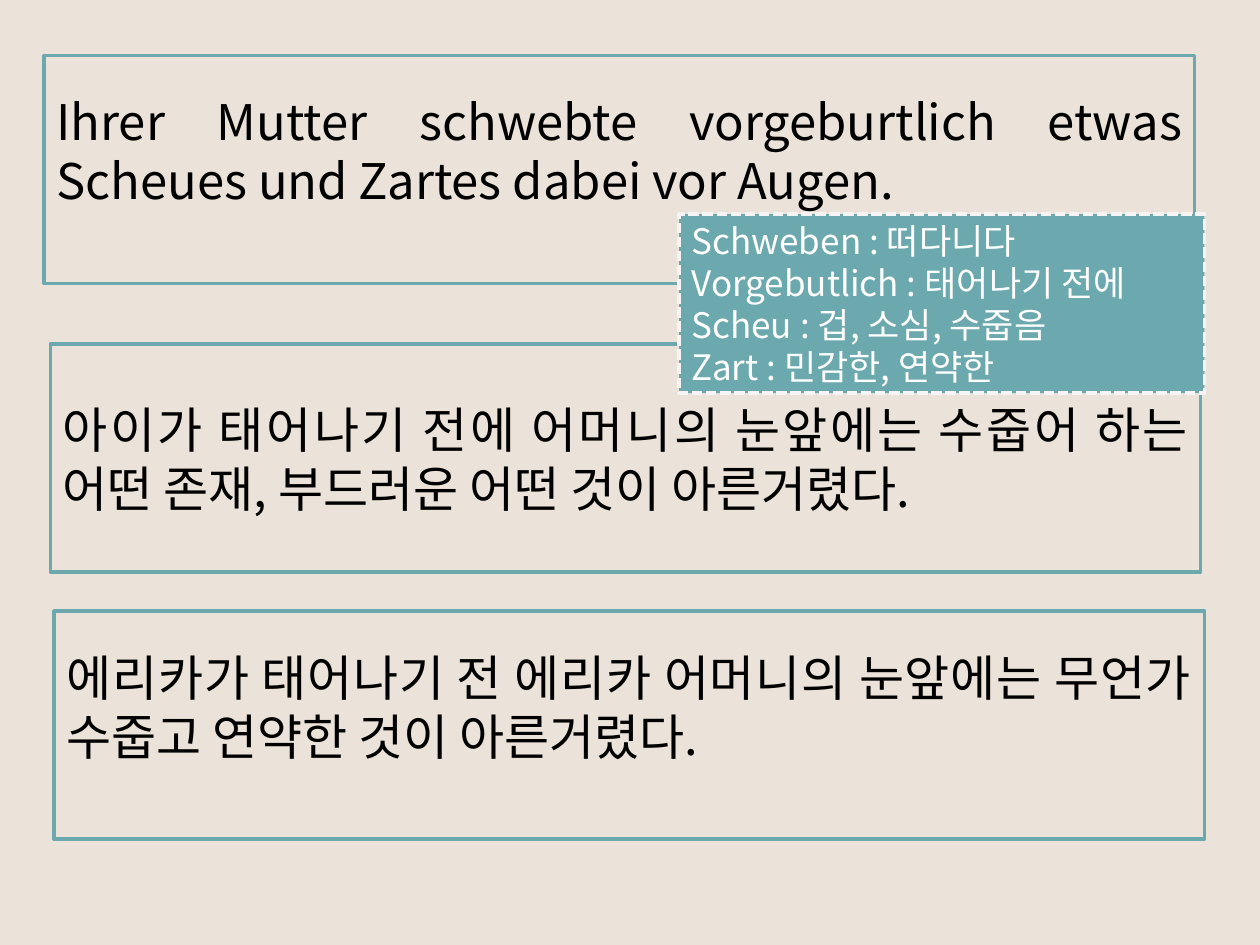
from dataclasses import dataclass

from lxml.etree import SubElement
from pptx import Presentation
from pptx.dml.color import RGBColor
from pptx.enum.dml import MSO_LINE
from pptx.enum.shapes import MSO_SHAPE
from pptx.enum.text import MSO_ANCHOR, PP_ALIGN
from pptx.oxml.ns import qn
from pptx.util import Inches, Pt


@dataclass(frozen=True)
class Theme:
    font: str = "Noto Sans CJK KR"
    background: RGBColor = RGBColor.from_string("EBE2D9")
    teal: RGBColor = RGBColor.from_string("6CA9AE")
    dashes: RGBColor = RGBColor.from_string("F6F4F4")
    dark: RGBColor = RGBColor.from_string("000000")
    light: RGBColor = RGBColor.from_string("FFFFFF")
    sentence_size: int = 28
    glossary_size: int = 20
    line_width: int = 2


theme = Theme()


def add_box(slide, position, lines, size, color, line_color, bottom=0.05):
    shape = slide.shapes.add_shape(MSO_SHAPE.RECTANGLE, *map(Inches, position))
    shape.shadow.inherit = False
    shape.fill.background()
    shape.line.color.rgb = line_color
    shape.line.width = Pt(theme.line_width)
    frame = shape.text_frame
    frame_format = {
        "word_wrap": True,
        "vertical_anchor": MSO_ANCHOR.MIDDLE,
        "margin_bottom": Inches(bottom),
    }
    for name, value in frame_format.items():
        setattr(frame, name, value)
    for index, text in enumerate(lines):
        paragraph = frame.add_paragraph() if index else frame.paragraphs[0]
        paragraph.alignment = PP_ALIGN.JUSTIFY
        run = paragraph.add_run()
        run.text = text
        for name, value in {"name": theme.font, "size": Pt(size)}.items():
            setattr(run.font, name, value)
        run.font.color.rgb = color
        SubElement(run._r.get_or_add_rPr(), qn("a:ea"), typeface=theme.font)
    return shape


presentation = Presentation()
presentation.slide_width = Inches(10)
presentation.slide_height = Inches(7.5)
slide = presentation.slides.add_slide(presentation.slide_layouts[6])
slide.background.fill.solid()
slide.background.fill.fore_color.rgb = theme.background

sentences = [
    (0.35, 0.44, 0.35, "Ihrer Mutter schwebte vorgeburtlich etwas Scheues und Zartes dabei vor Augen."),
    (0.4, 2.73, 0.05, "아이가 태어나기 전에 어머니의 눈앞에는 수줍어 하는 어떤 존재, 부드러운 어떤 것이 아른거렸다."),
    (0.43, 4.85, 0.35, "에리카가 태어나기 전 에리카 어머니의 눈앞에는 무언가 수줍고 연약한 것이 아른거렸다."),
]
for left, top, bottom, sentence in sentences:
    add_box(slide, (left, top, 9.13, 1.81), [sentence],
            theme.sentence_size, theme.dark, theme.teal, bottom)

glossary_lines = [
    "Schweben : 떠다니다",
    "Vorgebutlich : 태어나기 전에",
    "Scheu : 겁, 소심, 수줍음",
    "Zart : 민감한, 연약한",
]
glossary = add_box(slide, (5.39, 1.7, 4.17, 1.42), glossary_lines,
                   theme.glossary_size, theme.light, theme.dashes)
glossary.fill.solid()
glossary.fill.fore_color.rgb = theme.teal
glossary.line.dash_style = MSO_LINE.SQUARE_DOT

presentation.save("out.pptx")
